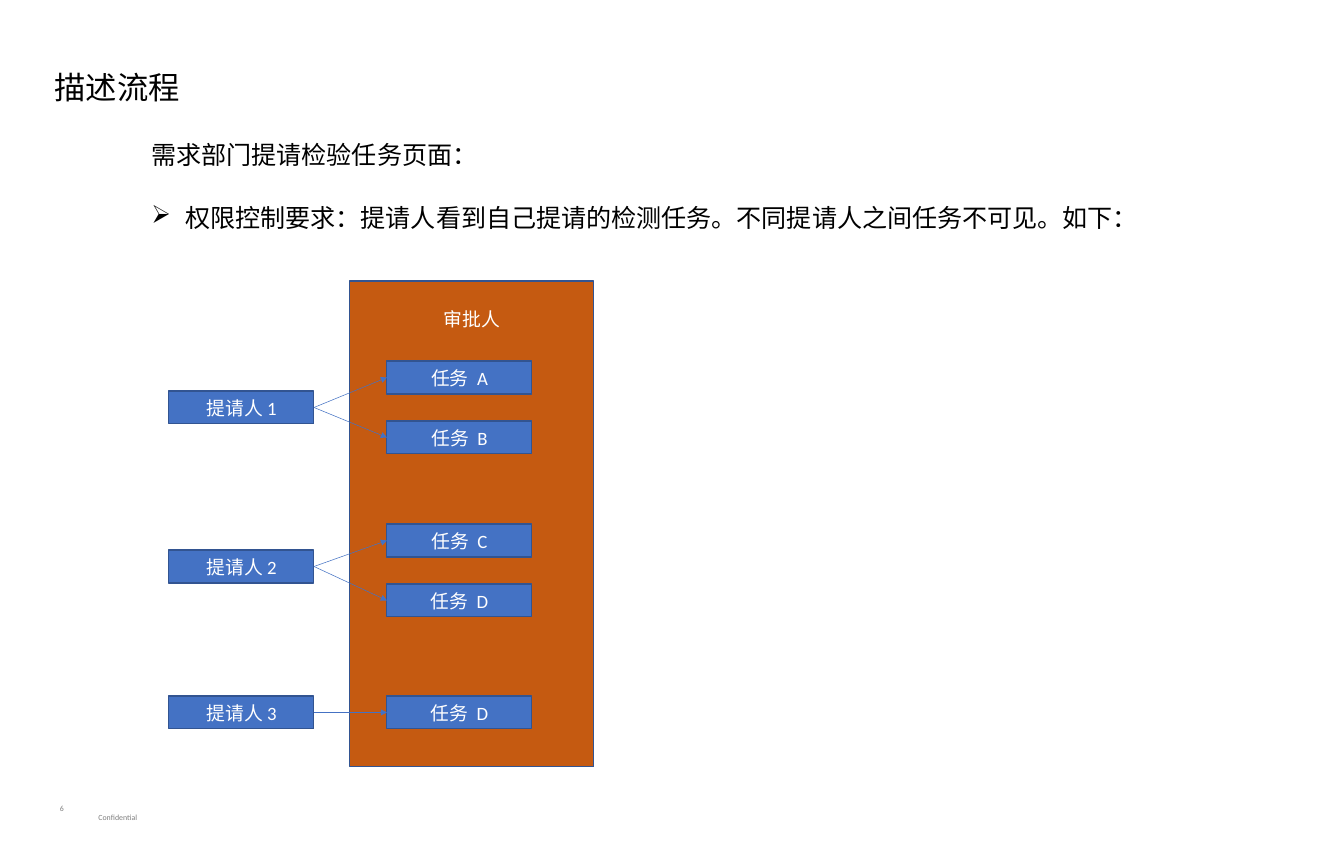
from dataclasses import dataclass

from lxml import etree
from pptx import Presentation
from pptx import util as u
from pptx.dml import color
from pptx.enum import shapes, text
from pptx.oxml import ns

EMU_PER_PX = 12160
LEFT_SITE, RIGHT_SITE = 1, 3


@dataclass(frozen=True)
class Theme:
    font: str = "Calibri"
    ink: str = "000000"
    muted: str = "7F7F7F"
    light: str = "FFFFFF"
    node: str = "4472C4"
    panel: str = "C55A11"
    border: str = "325491"
    title_size: float = 30
    body_size: float = 24
    label_size: float = 18
    footer_size: float = 7.5


THEME = Theme()

REQUESTS = [
    ("提请人 1", 391, [("任务  A", 361), ("任务  B", 421)]),
    ("提请人 2", 550, [("任务  C", 524), ("任务  D", 584)]),
    ("提请人 3", 696, [("任务  D", 696)]),
]
REQUESTER_LEFT, TASK_LEFT = 169, 387
NODE_WIDTH, NODE_HEIGHT = 145, 33


def px(value):
    return u.Emu(value * EMU_PER_PX)


def rgb(value):
    return color.RGBColor.from_string(value)


def apply(target, values):
    for name, value in values.items():
        setattr(target, name, value)


def add_child(parent, tag, **attributes):
    return etree.SubElement(parent, ns.qn(tag), attributes)


def write(box, words, size, ink, frame_format, para_format):
    apply(box.text_frame, frame_format)
    para = box.text_frame.paragraphs[0]
    apply(para, para_format)
    span = para.add_run()
    span.text = words
    apply(span.font, {"name": THEME.font, "size": u.Pt(size)})
    span.font.color.rgb = rgb(ink)
    return para


def add_text(slide, words, place, size, ink=THEME.ink, wrap=True,
             anchor=text.MSO_ANCHOR.TOP, align=text.PP_ALIGN.LEFT):
    box = slide.shapes.add_textbox(*map(px, place))
    frame_format = {
        "word_wrap": wrap,
        "auto_size": text.MSO_AUTO_SIZE.SHAPE_TO_FIT_TEXT,
        "vertical_anchor": anchor,
    }
    return write(box, words, size, ink, frame_format, {"alignment": align})


def add_bullet(para, indent):
    props = para._p.get_or_add_pPr()
    props.set("marL", str(px(indent)))
    props.set("indent", str(px(-indent)))
    add_child(props, "a:buChar", char="➢")
    para.line_spacing = 1.5


def add_block(slide, words, place, fill, frame_format):
    block = slide.shapes.add_shape(shapes.MSO_SHAPE.RECTANGLE, *map(px, place))
    block.shadow.inherit = False
    block.fill.solid()
    block.fill.fore_color.rgb = rgb(fill)
    block.line.color.rgb = rgb(THEME.border)
    block.line.width = u.Pt(1)
    write(block, words, THEME.label_size, THEME.light, frame_format,
          {"alignment": text.PP_ALIGN.CENTER})
    return block


def add_node(slide, words, left, top):
    return add_block(slide, words, (left, top, NODE_WIDTH, NODE_HEIGHT),
                     THEME.node, {"vertical_anchor": text.MSO_ANCHOR.MIDDLE})


def add_arrow(slide, start, end):
    arrow = slide.shapes.add_connector(shapes.MSO_CONNECTOR.STRAIGHT, 0, 0, 0, 0)
    arrow.begin_connect(start, RIGHT_SITE)
    arrow.end_connect(end, LEFT_SITE)
    arrow.line.color.rgb = rgb(THEME.node)
    arrow.line.width = u.Pt(0.5)
    add_child(arrow.line._get_or_add_ln(), "a:tailEnd", type="triangle")
    add_child(arrow._element.spPr, "a:effectLst")


def add_requests(slide):
    for requester, top, tasks in REQUESTS:
        start = add_node(slide, requester, REQUESTER_LEFT, top)
        for task, task_top in tasks:
            add_arrow(slide, start, add_node(slide, task, TASK_LEFT, task_top))


def main():
    deck = Presentation()
    apply(deck, {"slide_width": px(1344), "slide_height": px(860)})
    slide = deck.slides.add_slide(deck.slide_layouts[6])

    add_text(slide, "Confidential", (91, 809, 829, 17), THEME.footer_size,
             THEME.muted, anchor=text.MSO_ANCHOR.BOTTOM)
    add_text(slide, "6", (31, 800, 62, 17), THEME.footer_size,
             THEME.muted, align=text.PP_ALIGN.CENTER)
    add_text(slide, "描述流程", (47, 64, 142, 46), THEME.title_size, wrap=False)
    add_text(slide, "需求部门提请检验任务页面：", (144, 136, 976, 38), THEME.body_size)
    rule = add_text(
        slide,
        "权限控制要求：提请人看到自己提请的检测任务。不同提请人之间任务不可见。如下：",
        (144, 184, 1040, 49), THEME.body_size)
    add_bullet(rule, 34)

    add_block(slide, "审批人", (350, 281, 244, 486), THEME.panel,
              {"vertical_anchor": text.MSO_ANCHOR.TOP, "margin_top": px(27)})
    add_requests(slide)
    deck.save("out.pptx")


if __name__ == "__main__":
    main()
